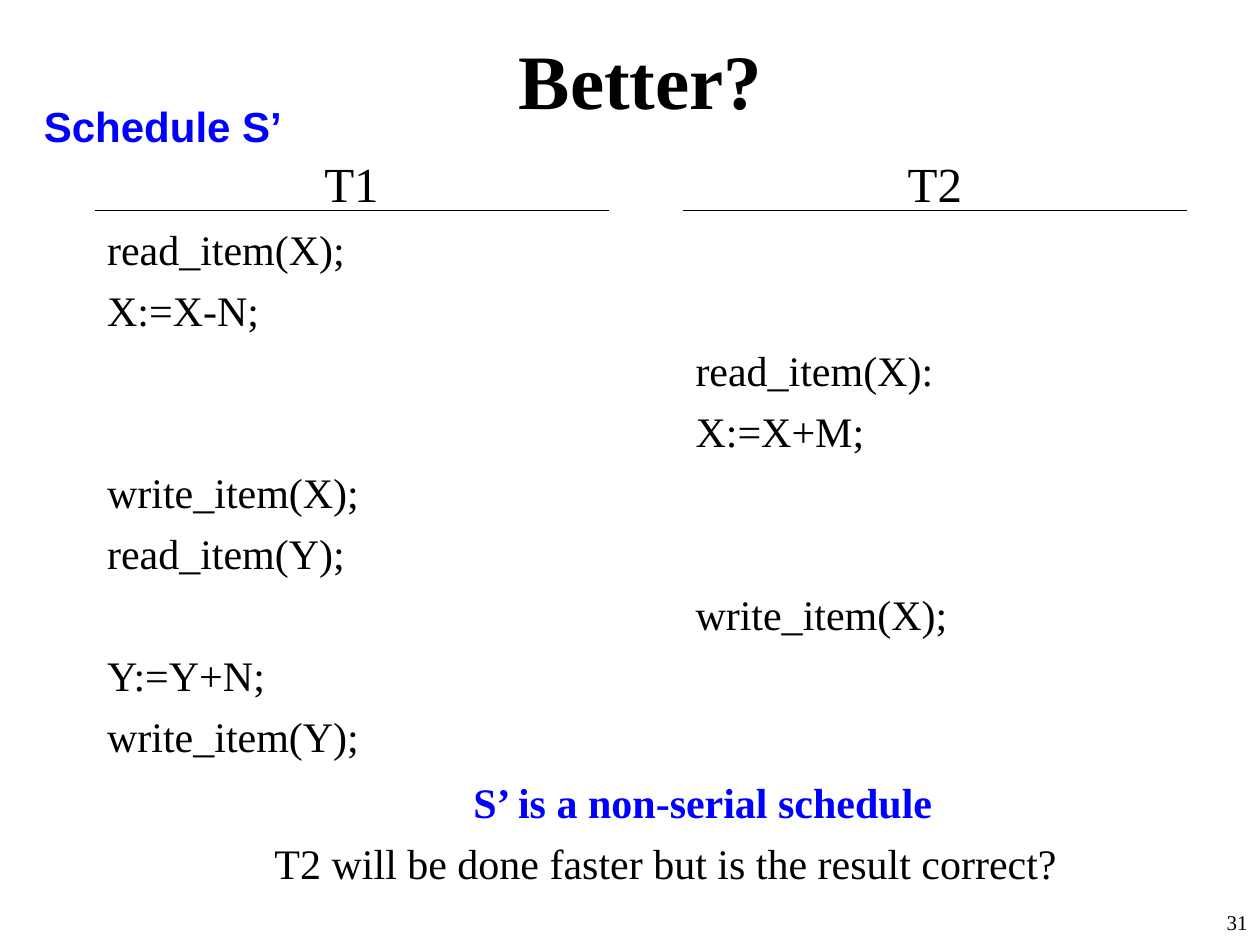
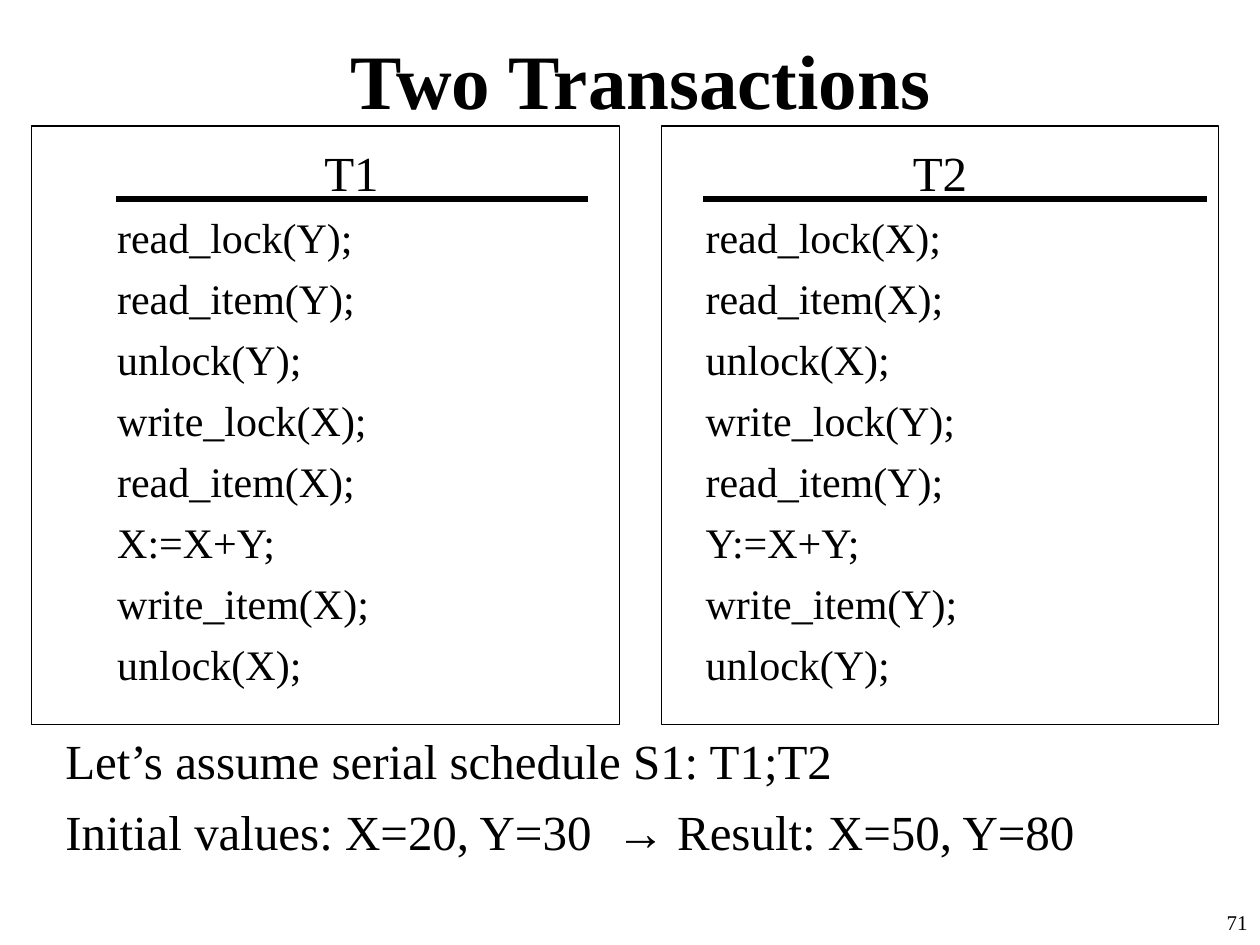
from pptx import Presentation
from pptx import util as u
from pptx.dml.color import RGBColor
from pptx.enum import shapes, text
from pptx.oxml.ns import qn
from lxml import etree

BLACK = RGBColor(0, 0, 0)
BLUE = RGBColor(0, 0, 255)
SERIF, SANS = "Times New Roman", "Arial"
LEFT, CENTER, RIGHT = text.PP_ALIGN.LEFT, text.PP_ALIGN.CENTER, text.PP_ALIGN.RIGHT

HEAD_SIZE, STEP_SIZE = 28, 24
GAP_SHARE = 0.25
ROW_PITCH = 34.8
RULE_DROP = 0.5

SLIDES = [
    dict(
        title="Better?", number="31", top=1.17, height=4.92, rule_width=0.75,
        columns=[
            dict(head="T1", left=0.75, width=4.08, rule=(0.75, 4.83),
                 steps=["read_item(X);", "X:=X-N;", None, None, "write_item(X);",
                        "read_item(Y);", None, "Y:=Y+N;", "write_item(Y);"]),
            dict(head="T2", left=5.42, width=4, rule=(5.42, 9.42),
                 steps=[None, None, "read_item(X):", "X:=X+M;", None, None,
                        "write_item(X);"]),
        ],
        frames=[],
    ),
    dict(
        title="Two Transactions", number="71", top=1.08, height=4.58, rule_width=3,
        columns=[
            dict(head="T1", left=0.83, width=3.92, rule=(0.92, 4.67),
                 steps=["read_lock(Y);", "read_item(Y);", "unlock(Y);",
                        "write_lock(X);", "read_item(X);", "X:=X+Y;",
                        "write_item(X);", "unlock(X);"]),
            dict(head="T2", left=5.5, width=3.92, rule=(5.58, 9.58),
                 steps=["read_lock(X);", "read_item(X);", "unlock(X);",
                        "write_lock(Y);", "read_item(Y);", "Y:=X+Y;",
                        "write_item(Y);", "unlock(Y);"]),
        ],
        frames=[(0.25, 1, 4.67, 4.75), (5.25, 1, 4.42, 4.75)],
    ),
]
VERDICT = [("S’ is a non-serial schedule ", BLUE, True, CENTER),
           ("T2 will be done faster but is the result correct?", BLACK, False, LEFT)]
ASSUMPTIONS = [["Let’s assume serial schedule S1: T1;T2"],
               ["Initial values: X=20, Y=30  ", "→", " Result: X=50, Y=80"]]


def place(sp, left, top, width, height):
    sp.left, sp.top, sp.width, sp.height = map(u.Inches, (left, top, width, height))


def frame_text(sp, wrap=True):
    tf = sp.text_frame
    tf.word_wrap = wrap
    tf.auto_size = text.MSO_AUTO_SIZE.NONE
    tf.margin_left = tf.margin_right = u.Inches(0.1)
    tf.margin_top = tf.margin_bottom = u.Inches(0.05)
    return tf


def add_text(s, left, top, width, height, wrap=True):
    box = [u.Inches(n) for n in (left, top, width, height)]
    return frame_text(s.shapes.add_textbox(*box), wrap)


def style(p, size, color=BLACK, bold=False, font=SERIF, align=LEFT, before=0):
    p.alignment = align
    p.space_before = u.Pt(before)
    for r in p.runs:
        r.font.size, r.font.bold, r.font.name = u.Pt(size), bold, font
        r.font.color.rgb = color


def clear_bullet(p):
    pPr = p._p.get_or_add_pPr()
    pPr.set("marL", "0")
    pPr.set("indent", "0")
    etree.SubElement(pPr, qn("a:buNone"))


def next_paragraph(tf, index):
    return tf.add_paragraph() if index else tf.paragraphs[0]


def fill_column(s, sp, column, top, height, rule_width):
    place(sp, column["left"], top, column["width"], height)
    tf = frame_text(sp)
    tf.vertical_anchor = text.MSO_ANCHOR.TOP
    p = tf.paragraphs[0]
    p.text = column["head"]
    style(p, HEAD_SIZE, align=CENTER)
    skipped = 0
    for step in column["steps"]:
        if step is None:
            skipped += 1
            continue
        p = tf.add_paragraph()
        p.text = step
        style(p, STEP_SIZE, before=GAP_SHARE * STEP_SIZE + skipped * ROW_PITCH)
        skipped = 0
    for p in tf.paragraphs:
        clear_bullet(p)

    start, end = column["rule"]
    y = u.Inches(top + RULE_DROP)
    rule = s.shapes.add_connector(shapes.MSO_CONNECTOR.STRAIGHT,
                                  u.Inches(start), y, u.Inches(end), y)
    rule.line.color.rgb, rule.line.width = BLACK, u.Pt(rule_width)
    etree.SubElement(rule._element.spPr, qn("a:effectLst"))


def add_frame(s, box):
    sp = s.shapes.add_shape(shapes.MSO_SHAPE.RECTANGLE, *map(u.Inches, box))
    sp.shadow.inherit = False
    sp.fill.background()
    sp.line.color.rgb, sp.line.width = BLACK, u.Pt(0.75)


def build_slide(prs, data):
    s = prs.slides.add_slide(prs.slide_layouts[3])
    title, *bodies = s.placeholders
    place(title, 0.42, 0, 9.33, 1.25)
    tf = frame_text(title)
    tf.vertical_anchor = text.MSO_ANCHOR.MIDDLE
    tf.text = data["title"]
    style(tf.paragraphs[0], 44, bold=True, align=CENTER)
    for sp, column in zip(bodies, data["columns"]):
        fill_column(s, sp, column, data["top"], data["height"], data["rule_width"])
    for box in data["frames"]:
        add_frame(s, box)
    tf = add_text(s, 7.92, 7.17, 2.08, 0.5)
    tf.text = data["number"]
    style(tf.paragraphs[0], 12, align=RIGHT)
    return s


def add_verdict(s):
    tf = add_text(s, 2.08, 6.22, 7.08, 0.87)
    for i, (line, color, bold, align) in enumerate(VERDICT):
        p = next_paragraph(tf, i)
        p.text = line
        style(p, STEP_SIZE, color, bold, align=align, before=15 * i)
        p.line_spacing = 0.7
    tf = add_text(s, 0.25, 0.75, 2.09, 0.5, wrap=False)
    tf.text = "Schedule S’"
    style(tf.paragraphs[0], STEP_SIZE, BLUE, True, SANS)


def add_assumptions(s):
    tf = add_text(s, 0.42, 5.75, 8.5, 1.33)
    for i, parts in enumerate(ASSUMPTIONS):
        p = next_paragraph(tf, i)
        for part in parts:
            p.add_run().text = part
        style(p, HEAD_SIZE, before=GAP_SHARE * HEAD_SIZE * i)
        for r in p.runs:
            if r.text == "→":
                r.font.name = SANS


def main():
    prs = Presentation()
    prs.slide_width, prs.slide_height = u.Inches(10), u.Inches(7.5)
    better, transactions = [build_slide(prs, data) for data in SLIDES]
    add_verdict(better)
    add_assumptions(transactions)
    prs.save("out.pptx")


if __name__ == "__main__":
    main()
